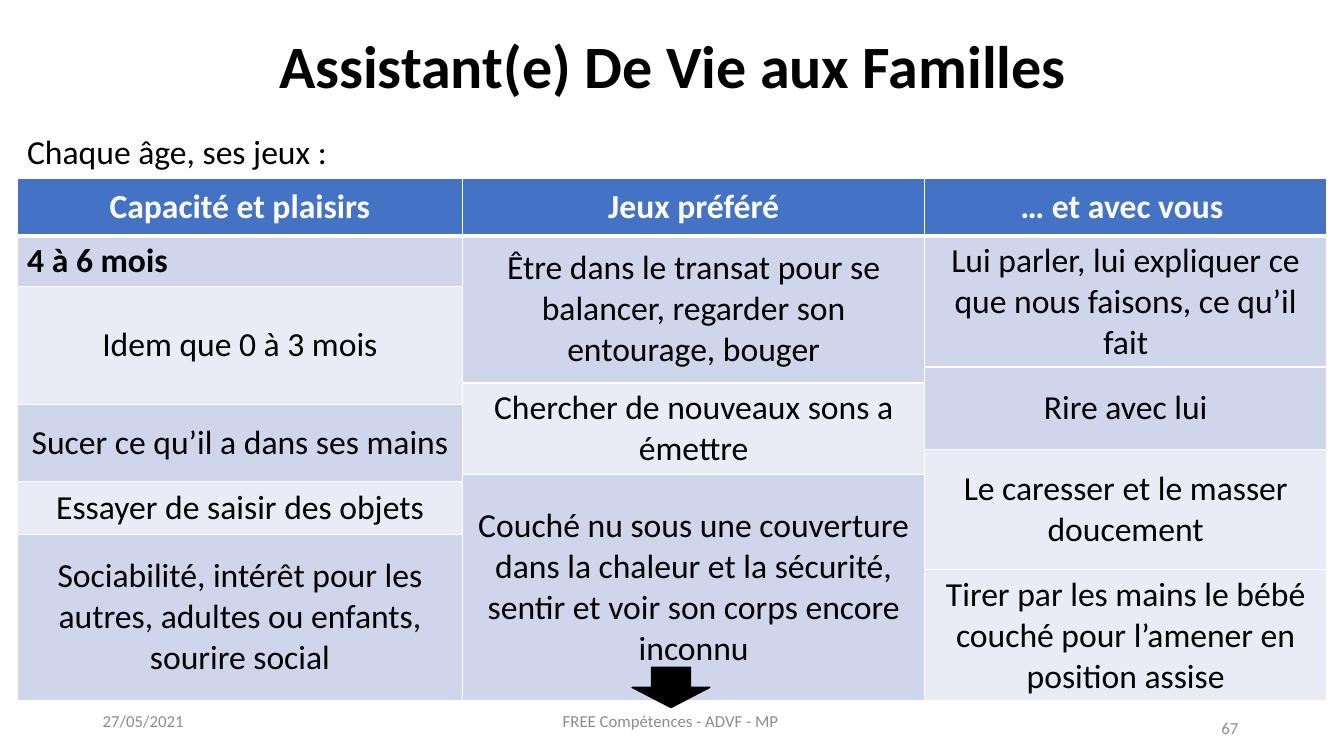
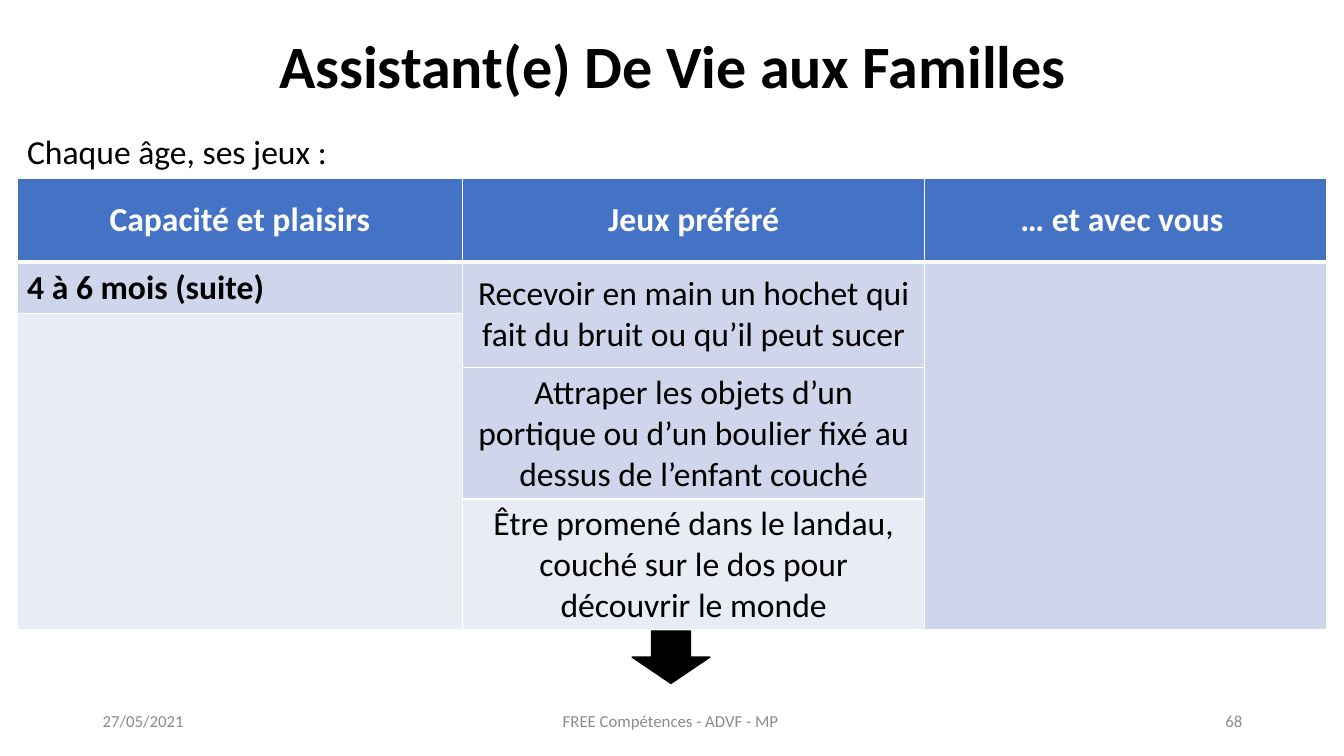
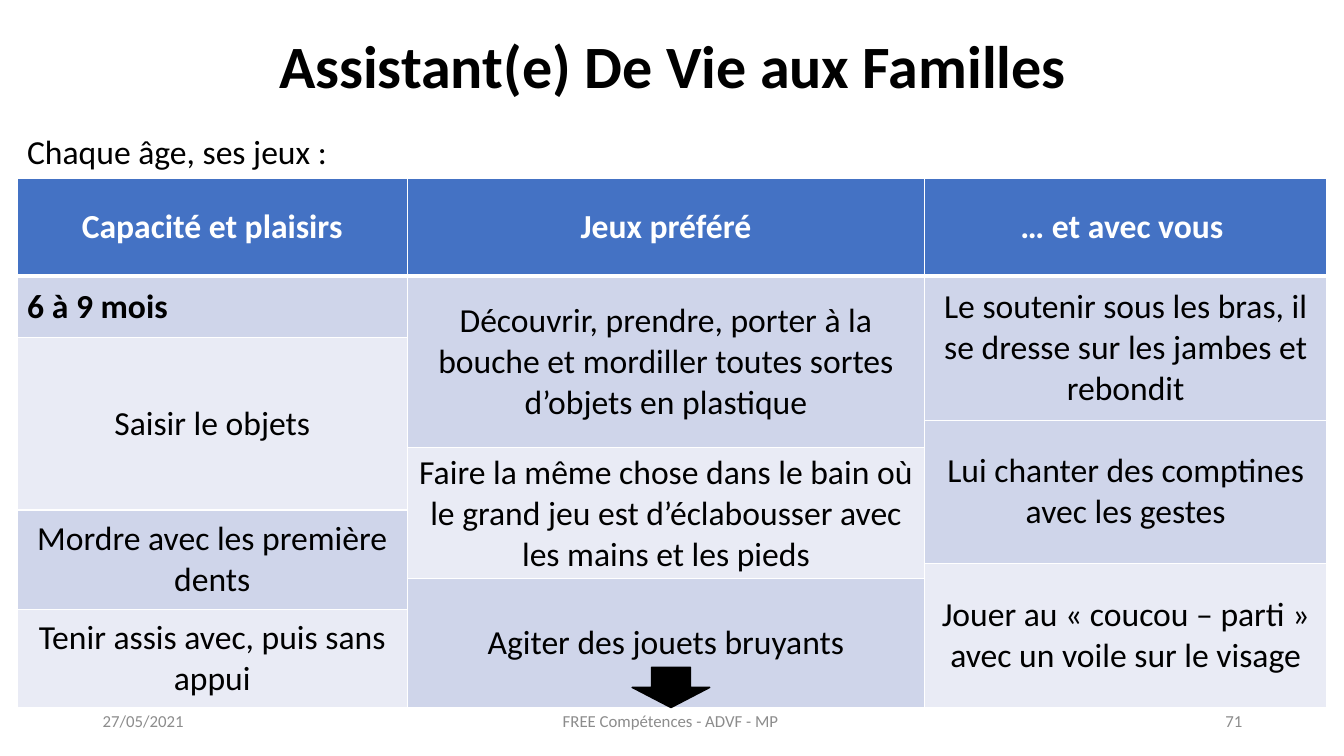
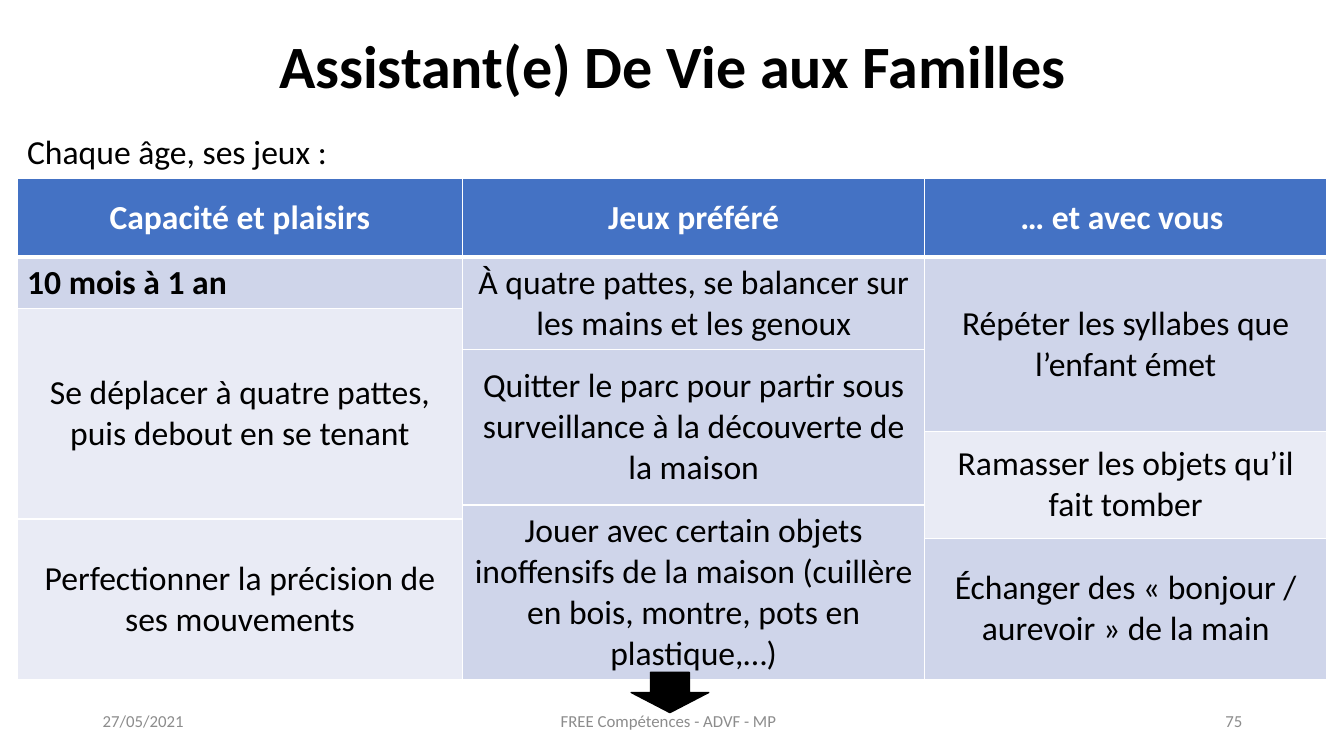
from pptx import Presentation
from pptx.dml.color import RGBColor
from pptx.enum.shapes import MSO_SHAPE
from pptx.enum.text import MSO_ANCHOR, PP_ALIGN
from pptx.oxml.ns import qn
from pptx.util import Pt
from lxml.etree import SubElement

PX = 9144
FONT = "Calibri"
COLORS = {
    "text": "000000",
    "white": "FFFFFF",
    "footer": "8C8C8C",
    "header": "4472C4",
    "dark_band": "CFD5EA",
    "light_band": "E9EBF5",
}
TITLE = "Assistant(e) De Vie aux Familles"
SUBTITLE = "Chaque âge, ses jeux :"
DATE = "27/05/2021"
FOOTER = "FREE Compétences - ADVF - MP "
HEADERS = ["Capacité et plaisirs", "Jeux préféré", "… et avec vous "]
TABLE_LEFT, TABLE_TOP = 17, 177
COL_WIDTHS = [442, 458, 399]

SLIDES = [
    {
        "number": "67",
        "number_at": (938, 702),
        "rows": [57, 50, 80, 16, 21, 45, 25, 7, 52, 35, 129],
        "columns": [
            [("4 à 6 mois", 1), ("Idem que 0 à 3 mois", 3),
             ("Sucer ce qu’il a dans ses mains", 3),
             ("Essayer de saisir des objets", 1),
             ("Sociabilité, intérêt pour les autres, adultes ou enfants, sourire social", 2)],
            [("Être dans le transat pour se balancer, regarder son entourage, bouger", 3),
             ("Chercher de nouveaux sons a émettre", 3),
             ("Couché nu sous une couverture dans la chaleur et la sécurité, "
              "sentir et voir son corps encore inconnu", 4)],
            [("Lui parler, lui expliquer ce que nous faisons, ce qu’il fait", 2),
             ("Rire avec lui", 3),
             ("Le caresser et le masser doucement", 4),
             ("Tirer par les mains le bébé couché pour l’amener en position assise", 1)],
        ],
        "arrow": (627, 662, 77, 40),
    },
    {
        "number": "68",
        "rows": [83, 51, 54, 130, 130],
        "columns": [
            [("4 à 6 mois (suite)", 1), ("", 3)],
            [("Recevoir en main un hochet qui fait du bruit ou qu’il peut sucer", 2),
             ("Attraper les objets d’un portique ou d’un boulier fixé au dessus "
              "de l’enfant couché", 1),
             ("Être promené dans le landau, couché sur le dos pour découvrir le monde", 1)],
            [("", 4)],
        ],
        "arrow": (627, 626, 77, 52),
    },
    {
        "number": "71",
        "widths": [387, 513, 399],
        "rows": [97, 61, 82, 27, 62, 53, 15, 31, 97],
        "columns": [
            [("6 à 9 mois", 1), ("Saisir le objets", 3),
             ("Mordre avec les première dents", 3),
             ("Tenir assis avec, puis sans appui", 1)],
            [("Découvrir, prendre, porter à la bouche et mordiller toutes sortes "
              "d’objets en plastique", 3),
             ("Faire la même chose dans le bain où le grand jeu est d’éclabousser "
              "avec les mains et les pieds", 3),
             ("Agiter des jouets bruyants", 2)],
            [("Le soutenir sous les bras, il se dresse sur les jambes et rebondit", 2),
             ("Lui chanter des comptines avec les gestes", 3),
             ("Jouer au « coucou – parti » avec un voile sur le visage", 3)],
        ],
        "arrow": (627, 662, 77, 40),
    },
    {
        "number": "75",
        "footer_left": 392,
        "rows": [78, 51, 41, 81, 73, 14, 19, 140],
        "columns": [
            [("10 mois à 1 an", 1),
             ("Se déplacer à quatre pattes, puis debout en se tenant", 4),
             ("Perfectionner la précision de ses mouvements", 2)],
            [("À quatre pattes, se balancer sur les mains et les genoux", 2),
             ("Quitter le parc pour partir sous surveillance à la découverte de la maison", 2),
             ("Jouer avec certain objets inoffensifs de la maison (cuillère en bois, "
              "montre, pots en plastique,…)", 3)],
            [("Répéter les syllabes que l’enfant émet", 3),
             ("Ramasser les objets qu’il fait tomber", 3),
             ("Échanger des « bonjour / aurevoir » de la main", 1)],
        ],
        "arrow": (626, 667, 77, 40),
    },
]


def rgb(name):
    """Return the named colour."""
    return RGBColor.from_string(COLORS[name])


def px(*lengths):
    """Turn px lengths into EMU."""
    return [n * PX for n in lengths]


def set_text(tf, text, size, color, align, bold=False):
    """Write one formatted paragraph into a text frame and return it."""
    tf.text = text
    p = tf.paragraphs[0]
    p.alignment = align
    font = p.runs[0].font if p.runs else p.font
    font.name, font.size, font.bold = FONT, Pt(size), bold
    font.color.rgb = rgb(color)
    return p


def add_text(s, box, text, size, color="text", align=PP_ALIGN.LEFT,
             bold=False, anchor=MSO_ANCHOR.TOP):
    """Add a wrapped text box and return its paragraph."""
    tf = s.shapes.add_textbox(*px(*box)).text_frame
    tf.word_wrap = True
    tf.vertical_anchor = anchor
    return set_text(tf, text, size, color, align, bold)


def add_heading(s):
    """Add the title and the subtitle."""
    p = add_text(s, (167, 31, 1000, 123), TITLE, 42.9, align=PP_ALIGN.CENTER, bold=True)
    p.line_spacing = 0.9
    add_text(s, (17, 125, 1259, 50), SUBTITLE, 24)


def add_footer(s, number, number_at=(942, 695), footer_left=394):
    """Add the date, the footer text and the page number."""
    for box, text, align in [
        ((92, 695, 300, 40), DATE, PP_ALIGN.LEFT),
        ((*number_at, 300, 40), number, PP_ALIGN.RIGHT),
        ((footer_left, 695, 546, 40), FOOTER, PP_ALIGN.CENTER),
    ]:
        add_text(s, box, text, 12, "footer", align, anchor=MSO_ANCHOR.MIDDLE)


def style_cell(cell, row, fill):
    """Set the fill and white borders, thick between header and body."""
    tcPr = cell._tc.get_or_add_tcPr()
    thick = {0: "lnB", 1: "lnT"}.get(row)
    for side in ("lnL", "lnR", "lnT", "lnB"):
        ln = SubElement(tcPr, qn(f"a:{side}"), w=str(Pt(3 if side == thick else 1)))
        SubElement(SubElement(ln, qn("a:solidFill")), qn("a:srgbClr"), val=COLORS["white"])
    cell.fill.solid()
    cell.fill.fore_color.rgb = rgb(fill)
    cell.vertical_anchor = MSO_ANCHOR.MIDDLE


def add_games_table(s, columns, rows, widths):
    """Add the table, each column stacking cells of its own row spans."""
    box = px(TABLE_LEFT, TABLE_TOP, sum(widths), sum(rows))
    table = s.shapes.add_table(len(rows), len(widths), *box).table
    for row, height in zip(table.rows, rows):
        row.height = height * PX
    for c, (header, entries) in enumerate(zip(HEADERS, columns)):
        table.columns[c].width = widths[c] * PX
        style_cell(table.cell(0, c), 0, "header")
        set_text(table.cell(0, c).text_frame, header, 24, "white", PP_ALIGN.CENTER, True)
        top = 1
        for text, span in entries:
            fill = "dark_band" if top % 2 else "light_band"
            for r in range(top, top + span):
                style_cell(table.cell(r, c), r, fill)
            cell = table.cell(top, c)
            if span > 1:
                cell.merge(table.cell(top + span - 1, c))
            is_age = c == 0 and top == 1
            align = PP_ALIGN.LEFT if is_age else PP_ALIGN.CENTER
            set_text(cell.text_frame, text, 24, "text", align, is_age)
            top += span


def add_arrow(s, box):
    """Add the black arrow that points to the next page."""
    sp = s.shapes.add_shape(MSO_SHAPE.DOWN_ARROW, *px(*box))
    sp.shadow.inherit = False
    sp.fill.solid()
    sp.fill.fore_color.rgb = rgb("text")
    sp.line.color.rgb = rgb("text")
    sp.line.width = Pt(1)


def add_games_slide(prs, number, rows, columns, arrow, widths=COL_WIDTHS, **footer):
    """Add one slide of games by age."""
    s = prs.slides.add_slide(prs.slide_layouts[6])
    add_heading(s)
    add_footer(s, number, **footer)
    add_games_table(s, columns, rows, widths)
    add_arrow(s, arrow)


def main():
    """Build and save the presentation."""
    prs = Presentation()
    prs.slide_width, prs.slide_height = px(1333, 750)
    for slide in SLIDES:
        add_games_slide(prs, **slide)
    prs.save("out.pptx")


if __name__ == "__main__":
    main()
